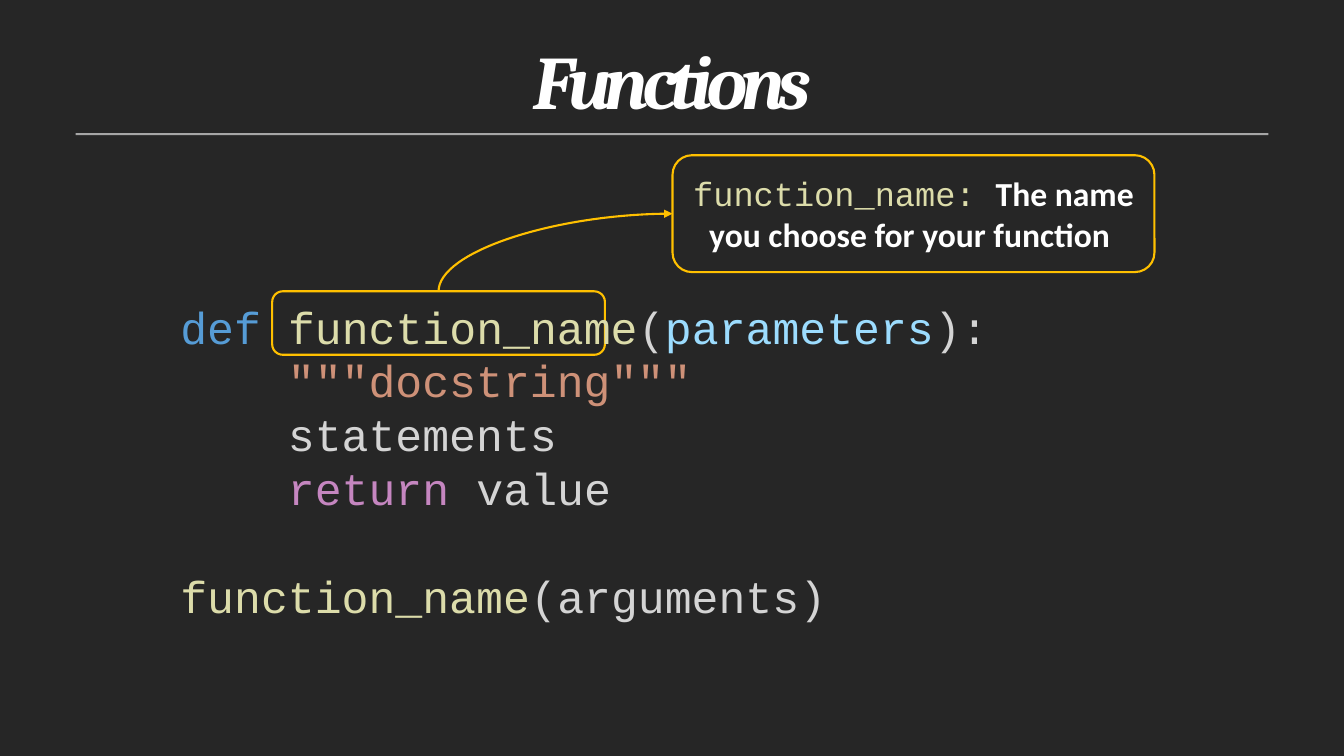
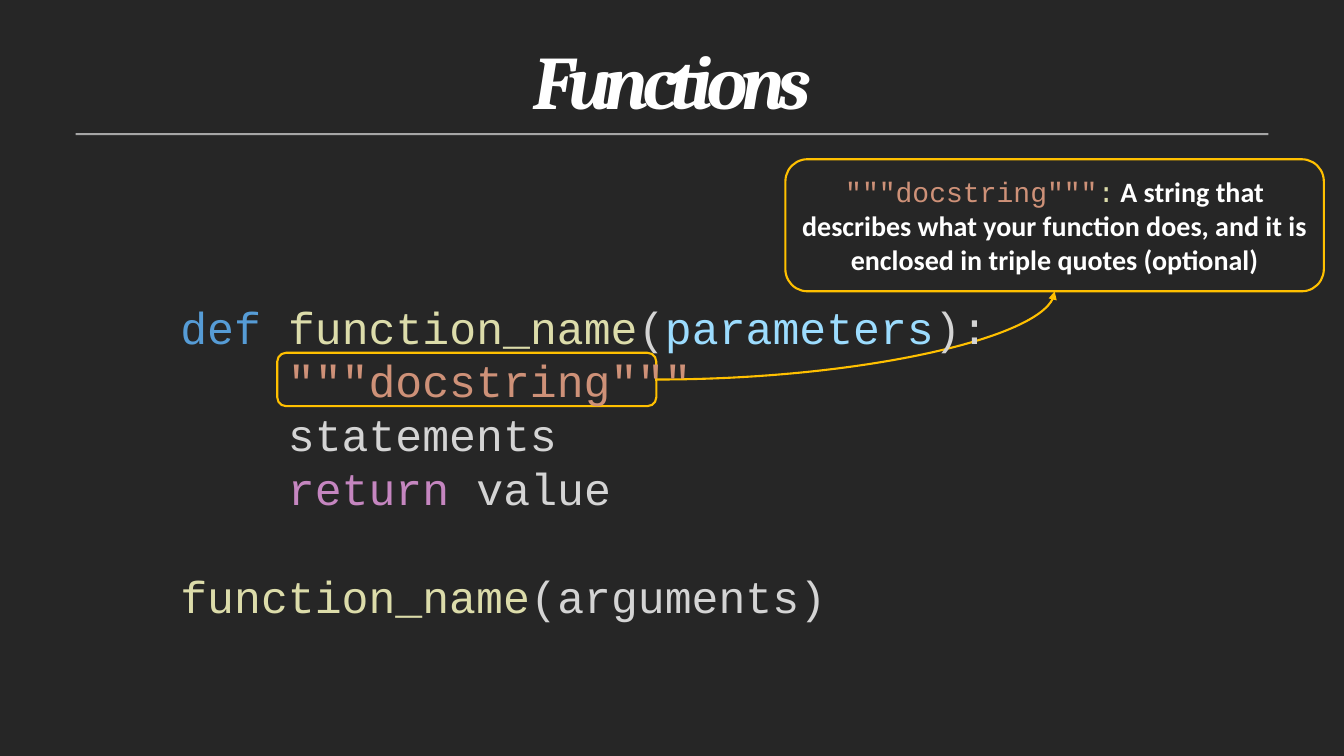
from lxml import etree
from pptx import Presentation
from pptx.dml.color import RGBColor
from pptx.enum.shapes import MSO_CONNECTOR, MSO_SHAPE
from pptx.enum.text import MSO_ANCHOR, MSO_AUTO_SIZE, PP_ALIGN
from pptx.oxml.ns import qn
from pptx.util import Inches, Pt

COLORS = {
    "background": "262626",
    "rule": "A6A6A6",
    "white": "FFFFFF",
    "accent": "FFC000",
    "keyword": "569CD6",
    "function": "DCDCAA",
    "plain": "D4D4D4",
    "parameter": "9CDCFE",
    "string": "CE9178",
    "control": "C586C0",
}
CODE_FONT, TEXT_FONT, TITLE_FONT = "Courier New", "Calibri", "Cambria"
CODE_LINE = Pt(38.4)
INDENT = "    "
TOP, LEFT, BOTTOM, RIGHT = range(4)  # connection sites of a rectangle

DEFINITION = [
    [("def ", "keyword"), ("function_name", "function"), ("(", "plain"),
     ("parameters", "parameter"), ("):", "plain")],
    [(INDENT + '"""docstring"""', "string")],
    [(INDENT + "statements", "plain")],
    [(INDENT + "return", "control"), (" value", "plain")],
]
CALL = [("function_name", "function"), ("(arguments)", "plain")]


def rgb(name):
    return RGBColor.from_string(COLORS[name])


class Deck:
    def __init__(self):
        self.prs = Presentation()
        self.prs.slide_width, self.prs.slide_height = Inches(13.33), Inches(7.5)
        fill = self.prs.slide_master.background.fill
        fill.solid()
        fill.fore_color.rgb = rgb("background")
        self.s = None

    def run(self, p, text, color, **font):
        r = p.add_run()
        r.text = text
        r.font.color.rgb = rgb(color)
        for name, value in font.items():
            setattr(r.font, name, value)
        return r

    def slide(self, title):
        """Start a slide with its title and the rule below it."""
        self.s = self.prs.slides.add_slide(self.prs.slide_layouts[5])
        sp = self.s.shapes.title
        box = {"left": 1.13, "top": 0.07, "width": 11.08, "height": 1.13}
        for name, value in box.items():
            setattr(sp, name, Inches(value))
        tf = sp.text_frame
        tf.auto_size, tf.vertical_anchor = MSO_AUTO_SIZE.NONE, MSO_ANCHOR.TOP
        p = tf.paragraphs[0]
        p.alignment, p.line_spacing = PP_ALIGN.CENTER, Pt(80.7)
        r = self.run(p, title, "white", name=TITLE_FONT, size=Pt(54),
                     bold=True, italic=True)
        r.font._element.set("spc", "-480")

        rule = self.shape(MSO_SHAPE.RECTANGLE, 0.75, 1.32, 11.83, 0.02)
        rule.fill.solid()
        rule.fill.fore_color.rgb = rgb("rule")
        rule.line.fill.background()

    def shape(self, kind, *box):
        sp = self.s.shapes.add_shape(kind, *map(Inches, box))
        sp.shadow.inherit = False
        return sp

    def outline(self, line):
        line.color.rgb = rgb("accent")
        line.width = Pt(1.5)

    def frame(self, *box):
        sp = self.shape(MSO_SHAPE.ROUNDED_RECTANGLE, *box)
        sp.fill.background()
        self.outline(sp.line)
        return sp

    def callout(self, box, runs):
        sp = self.frame(*box)
        tf = sp.text_frame
        tf.word_wrap, tf.vertical_anchor = True, MSO_ANCHOR.MIDDLE
        p = tf.paragraphs[0]
        p.alignment = PP_ALIGN.CENTER
        for text, color, font in runs:
            self.run(p, text, color, **font)
        return sp

    def arrow(self, begin, end, head):
        """Curve that leaves sideways and arrives vertically; head is headEnd or tailEnd."""
        line = self.s.shapes.add_connector(MSO_CONNECTOR.CURVE, 0, 0, 0, 0)
        line.begin_connect(*begin)
        line.end_connect(*end)
        self.outline(line.line)
        spPr = line._element.spPr
        spPr.find(qn("a:prstGeom")).set("prst", "curvedConnector2")
        etree.SubElement(spPr.find(qn("a:ln")), qn("a:" + head), type="triangle")
        etree.SubElement(spPr, qn("a:effectLst"))

    def code(self):
        sp = self.s.shapes.add_textbox(*map(Inches, (1.69, 2.89, 8.51, 3.33)))
        tf = sp.text_frame
        tf.word_wrap, tf.margin_top = True, Inches(0.08)
        for i, line in enumerate(DEFINITION + [CALL]):
            p = tf.add_paragraph() if i else tf.paragraphs[0]
            p.line_spacing = CODE_LINE
            if line is CALL:
                p.space_before = CODE_LINE
            for text, color in line:
                self.run(p, text, color, name=CODE_FONT, size=Pt(32))


def main():
    deck = Deck()

    deck.slide("Functions")
    code = {"name": CODE_FONT, "size": Pt(24)}
    note = {"name": TEXT_FONT, "size": Pt(24), "bold": True}
    highlight = deck.frame(2.7, 2.89, 3.3, 0.63)
    callout = deck.callout((6.67, 1.54, 4.78, 1.16), [
        ("function_name: ", "function", code),
        ("The name you choose for your function ", "white", note),
    ])
    deck.arrow((callout, LEFT), (highlight, TOP), "headEnd")
    deck.code()

    deck.slide("Functions")
    code = {"name": CODE_FONT, "size": Pt(20)}
    note = {"name": TEXT_FONT, "size": Pt(20), "bold": True}
    highlight = deck.frame(2.75, 3.5, 3.76, 0.53)
    callout = deck.callout((7.79, 1.58, 5.34, 1.31), [
        ('"""docstring"""', "string", code),
        (":", "function", code),
        (" ", "white", {"name": TEXT_FONT, "size": Pt(18)}),
        ("A string that describes what your function does, and it is "
         "enclosed in triple quotes (optional)", "white", note),
    ])
    deck.arrow((highlight, RIGHT), (callout, BOTTOM), "tailEnd")
    deck.code()

    deck.prs.save("out.pptx")


if __name__ == "__main__":
    main()
